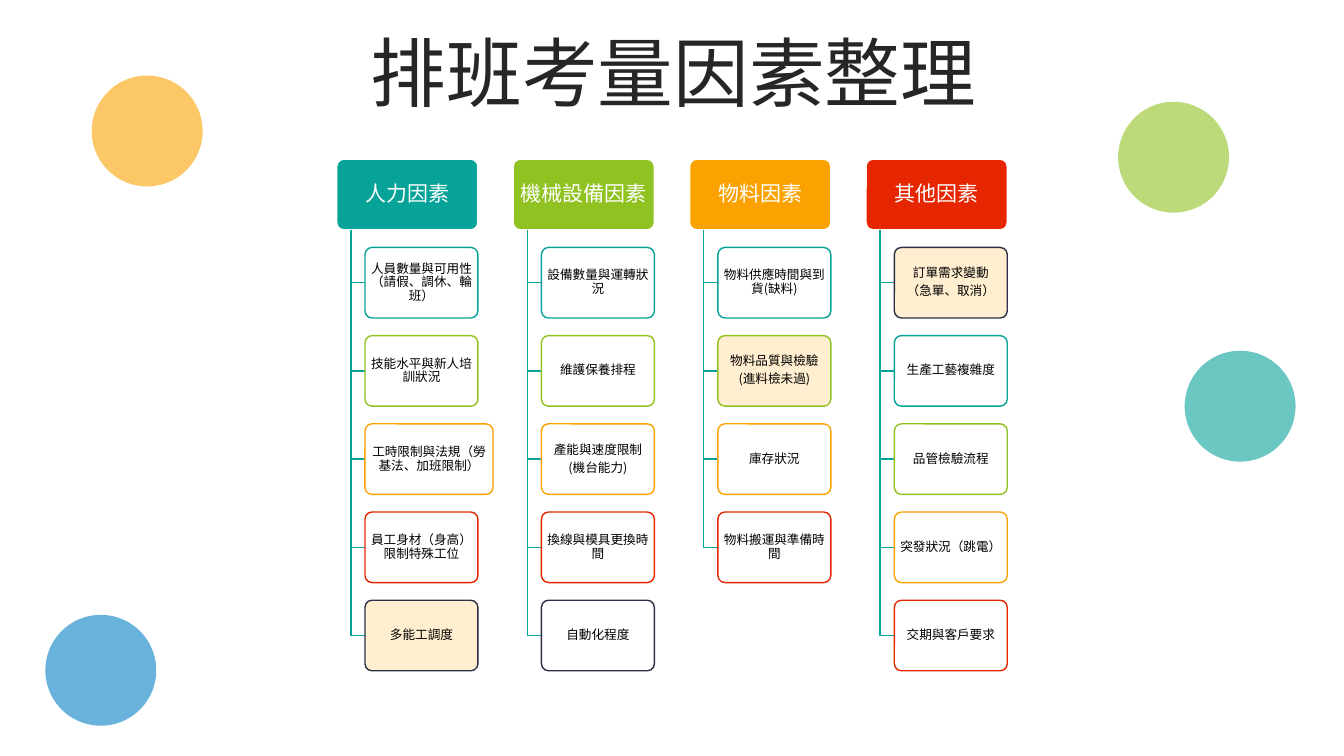
from itertools import cycle

from pptx import Presentation
from pptx.dml.color import RGBColor
from pptx.enum.shapes import MSO_SHAPE as Shape
from pptx.enum.text import MSO_ANCHOR as Anchor, PP_ALIGN as Align
from pptx.oxml.ns import qn
from pptx.util import Inches, Pt

FONT = "Noto Sans CJK SC"
TEAL, GREEN, ORANGE, RED, NAVY = "07A398", "90C221", "FBA200", "E62601", "2C2F45"
WHITE, CREAM, BLUE = "FFFFFF", "FFEDCB", "0680C3"
BOX_HEIGHT = 0.7
HEADER_WIDTH = BOX_HEIGHT * 2
FACTOR_WIDTH = BOX_HEIGHT * 1.6
ROW_STEP = BOX_HEIGHT * 1.25
COLUMN_STEP = 1.75
INDENT = HEADER_WIDTH / 10

CIRCLES = [
    (0.91, 0.75, ORANGE),
    (0.45, 6.1, BLUE),
    (11.09, 1.01, GREEN),
    (11.75, 3.48, TEAL),
]
COLUMNS = [
    ("人力因素", TEAL, ["人員數量與可用性（請假、調休、輪班）", "技能水平與新人培訓狀況",
                     "工時限制與法規（勞基法、加班限制）", "員工身材（身高）限制特殊工位", "多能工調度"]),
    ("機械設備因素", GREEN, ["設備數量與運轉狀況", "維護保養排程", "產能與速度限制\n(機台能力)",
                         "換線與模具更換時間", "自動化程度"]),
    ("物料因素", ORANGE, ["物料供應時間與到貨(缺料)", "物料品質與檢驗\n(進料檢未過)",
                       "庫存狀況", "物料搬運與準備時間"]),
    ("其他因素", RED, ["訂單需求變動\n（急單、取消）", "生產工藝複雜度", "品管檢驗流程",
                    "突發狀況（跳電）", "交期與客戶要求"]),
]
HIGHLIGHTED = {"多能工調度", "物料品質與檢驗\n(進料檢未過)", "訂單需求變動\n（急單、取消）"}
WIDE_FACTORS = {"工時限制與法規（勞基法、加班限制）": 1.27}


def rgb(color):
    return RGBColor.from_string(color)


def write(box, text, size, color, font=FONT, before=0, after=0, margins=(0.1, 0.05)):
    frame = box.text_frame
    frame.word_wrap = True
    frame.vertical_anchor = Anchor.MIDDLE
    frame.margin_left = frame.margin_right = Inches(margins[0])
    frame.margin_top = frame.margin_bottom = Inches(margins[1])
    for index, line in enumerate(text.split("\n")):
        para = frame.add_paragraph() if index else frame.paragraphs[0]
        para.alignment = Align.CENTER
        para.line_spacing = 0.9
        para.space_before = Pt(before)
        para.space_after = Pt(after)
        span = para.add_run()
        span.text = line
        span.font.size = Pt(size)
        span.font.name = font
        span.font.color.rgb = rgb(color)
        east_asian = span.font._element.makeelement(qn("a:ea"), {"typeface": FONT})
        span.font._element.find(qn("a:latin")).addnext(east_asian)


def add_filled(page, kind, left, top, width, height, fill, opacity=100, line=None):
    shape = page.shapes.add_shape(kind, Inches(left), Inches(top), Inches(width), Inches(height))
    shape.shadow.inherit = False
    shape.fill.solid()
    shape.fill.fore_color.rgb = rgb(fill)
    if opacity < 100:
        color = shape.fill._xPr.find(qn("a:solidFill"))[0]
        color.append(color.makeelement(qn("a:alpha"), {"val": str(opacity * 1000)}))
    if line:
        shape.line.color.rgb = rgb(line)
        shape.line.width = Pt(1)
    else:
        shape.line.fill.background()
    return shape


def add_rounded(page, left, top, width, fill, line, opacity=100):
    box = add_filled(page, Shape.ROUNDED_RECTANGLE, left, top, width, BOX_HEIGHT,
                     fill, opacity, line)
    box.adjustments[0] = 0.1
    return box


def add_branch(page, left, top, bottom):
    x, y = Inches(left), Inches(top)
    builder = page.shapes.build_freeform(x, y)
    builder.add_line_segments([(x, Inches(bottom)), (Inches(left + INDENT), Inches(bottom))],
                              close=False)
    branch = builder.convert_to_shape()
    branch.shadow.inherit = False
    branch.fill.background()
    branch.line.color.rgb = rgb(TEAL)
    branch.line.width = Pt(1)


def add_circles(page, diameter):
    for left, top, color in CIRCLES:
        add_filled(page, Shape.OVAL, left, top, diameter, diameter, color, opacity=60)


def add_title(page, left, top, width, height):
    box = page.shapes.add_textbox(Inches(left), Inches(top), Inches(width), Inches(height))
    write(box, "排班考量因素整理", 54, "262626", font="Arial", before=10)


def add_column(page, left, top, heading, color, factors, outlines):
    header = add_rounded(page, left, top, HEADER_WIDTH, color, WHITE)
    write(header, heading, 15, WHITE, after=5.25, margins=(0.03, 0.02))
    for row, factor in enumerate(factors, 1):
        factor_top = top + row * ROW_STEP
        add_branch(page, left + INDENT, top + BOX_HEIGHT, factor_top + BOX_HEIGHT / 2)
        box = add_rounded(page, left + 2 * INDENT, factor_top,
                          WIDE_FACTORS.get(factor, FACTOR_WIDTH),
                          CREAM if factor in HIGHLIGHTED else WHITE, next(outlines), 90)
        write(box, factor, 9, "000000", after=3.15, margins=(0.02, 0.01))


def add_hierarchy(page, left, top):
    outlines = cycle([TEAL, GREEN, ORANGE, RED, NAVY])
    for index, (heading, color, factors) in enumerate(COLUMNS):
        add_column(page, left + index * COLUMN_STEP, top, heading, color, factors, outlines)


def main():
    deck = Presentation()
    deck.slide_width, deck.slide_height = Inches(13.33), Inches(7.5)
    page = deck.slides.add_slide(deck.slide_layouts[6])
    add_circles(page, 1.1)
    add_title(page, 0.35, 0.37, 12.66, 0.79)
    add_hierarchy(page, 3.34, 1.58)
    deck.save("out.pptx")


if __name__ == "__main__":
    main()
